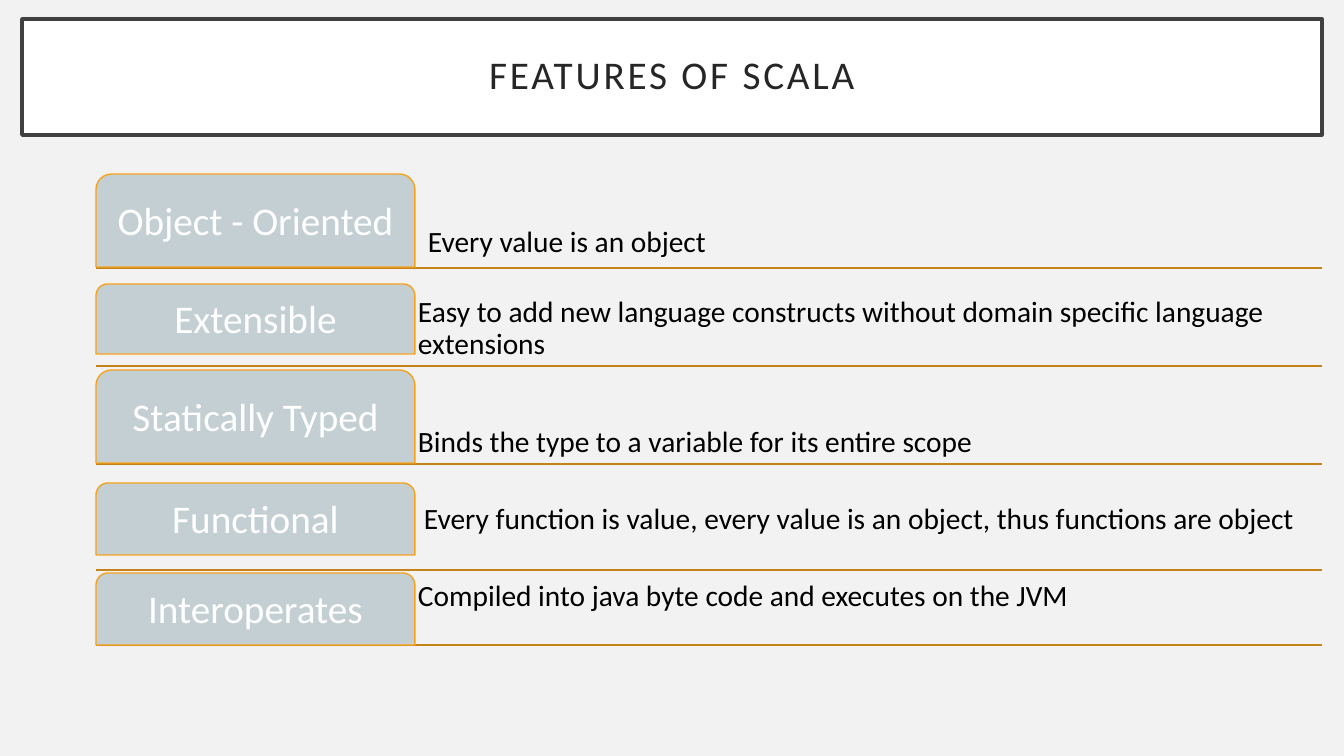
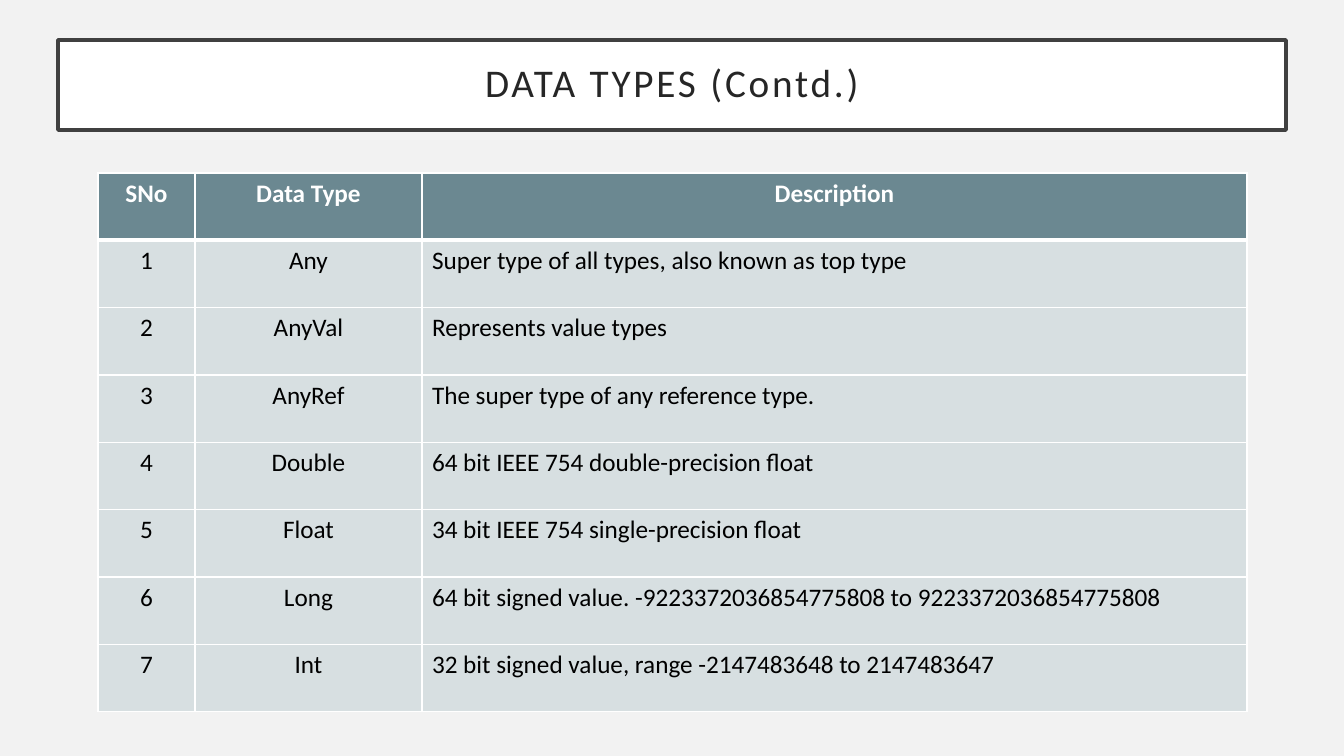
from lxml import etree
from pptx import Presentation
from pptx.dml.color import RGBColor
from pptx.enum.shapes import MSO_CONNECTOR, MSO_SHAPE
from pptx.enum.text import MSO_ANCHOR, MSO_AUTO_SIZE, PP_ALIGN
from pptx.oxml.ns import qn
from pptx.util import Emu, Pt

TAB_SHAPE = MSO_SHAPE.ROUND_2_SAME_RECTANGLE
STRAIGHT = MSO_CONNECTOR.STRAIGHT
TOP, MIDDLE, BOTTOM = MSO_ANCHOR.TOP, MSO_ANCHOR.MIDDLE, MSO_ANCHOR.BOTTOM
LEFT, CENTER = PP_ALIGN.LEFT, PP_ALIGN.CENTER
NO_AUTOFIT = MSO_AUTO_SIZE.NONE

EMU_PER_PX = 914400 / 100.8
FONT = "Calibri"
TITLE_ONLY = 5
COLORS = {
    "page": "F2F2F2",
    "white": "FFFFFF",
    "black": "000000",
    "title_text": "262626",
    "title_line": "404040",
    "tab": "C3CFD3",
    "tab_line": "F6A21D",
    "rule": "C58217",
    "header": "6B8891",
    "row": "D7DFE1",
}

TAB_LEFT, TAB_WIDTH = 96, 319
NOTE_LEFT, NOTE_WIDTH = 414, 907
RULE_RIGHT = 1322

# Each feature: name, tab (top, height), note, note (top, height), note insets (left, bottom), rule
FEATURES = [
    ("Object - Oriented", (174, 93), "Every value is an object", (174, 93), (14, 8), 268),
    ("Extensible", (284, 70),
     "Easy to add new language constructs without domain specific language extensions",
     (272, 93), (4, 4), 366),
    ("Statically Typed", (370, 93), "Binds the type to a variable for its entire scope",
     (370, 93), (4, 4), 464),
    ("Functional", (483, 72),
     "Every function is value, every value is an object, thus functions are object",
     (468, 72), (10, 4), 570),
    ("Interoperates", (573, 72), "Compiled into java byte code and executes on the JVM",
     (545, 72), (4, 4), 645),
]

COLUMN_WIDTHS = [97, 227, 825]
TABLE_HEIGHT = 539
HEADINGS = ("SNo", "Data Type", "Description")
DATA_TYPES = [
    ("Any", "Super type of all types, also known as top type"),
    ("AnyVal", "Represents value types"),
    ("AnyRef", "The super type of any reference type."),
    ("Double", "64 bit IEEE 754 double-precision float"),
    ("Float", "34 bit IEEE 754 single-precision float"),
    ("Long", "64 bit signed value. -9223372036854775808 to 9223372036854775808"),
    ("Int", "32 bit signed value, range -2147483648 to 2147483647"),
]


def px(*lengths):
    """Turn pixel lengths into a list of EMU lengths."""
    return [Emu(round(length * EMU_PER_PX)) for length in lengths]


def color(name):
    """Return the named colour of the deck."""
    return RGBColor.from_string(COLORS[name])


def write_text(frame, text, *, size, ink, align=LEFT, bold=False, spacing=None, tracking=None):
    """Write one formatted paragraph into a text frame."""
    para = frame.paragraphs[0]
    para.alignment = align
    if spacing:
        para.line_spacing = spacing
    span = para.add_run()
    span.text = text
    span.font.name = FONT
    span.font.size = Pt(size)
    span.font.bold = bold
    span.font.color.rgb = color(ink)
    if tracking:
        span._r.get_or_add_rPr().set("spc", str(tracking * 100))


def set_frame(frame, anchor, insets):
    """Set wrapping, anchor and the left, top, right and bottom insets."""
    frame.word_wrap = True
    frame.auto_size = NO_AUTOFIT
    frame.vertical_anchor = anchor
    (frame.margin_left, frame.margin_top,
     frame.margin_right, frame.margin_bottom) = px(*insets)


def paint(shape, fill, line, width):
    """Give a shape a solid fill and outline."""
    shape.fill.solid()
    shape.fill.fore_color.rgb = color(fill)
    shape.line.color.rgb = color(line)
    shape.line.width = Pt(width)


def add_page(deck, title, left, top, width, height):
    """Add a slide with its framed title."""
    page = deck.slides.add_slide(deck.slide_layouts[TITLE_ONLY])
    box = page.shapes.title
    box.left, box.top, box.width, box.height = px(left, top, width, height)
    paint(box, "white", "title_line", 2.5)
    set_frame(box.text_frame, MIDDLE, (20, 20, 20, 20))
    write_text(box.text_frame, title, size=28, ink="title_text", align=CENTER,
               spacing=0.9, tracking=2)
    return page


def add_rule(page, y):
    """Draw a horizontal rule under a feature."""
    rule = page.shapes.add_connector(STRAIGHT, *px(TAB_LEFT, y, RULE_RIGHT, y))
    rule.line.color.rgb = color("rule")
    rule.line.width = Pt(1)
    etree.SubElement(rule._element.spPr, qn("a:effectLst"))


def add_tab(page, name, top, height):
    """Add the rounded tab that names a feature."""
    tab = page.shapes.add_shape(TAB_SHAPE, *px(TAB_LEFT, top, TAB_WIDTH, height))
    tab.shadow.inherit = False
    paint(tab, "tab", "tab_line", 1)
    set_frame(tab.text_frame, MIDDLE, (6, 6, 6, 6))
    write_text(tab.text_frame, name, size=28, ink="white", align=CENTER, spacing=0.9)


def add_note(page, text, top, height, left_inset, bottom_inset):
    """Add the explanation beside a tab."""
    box = page.shapes.add_textbox(*px(NOTE_LEFT, top, NOTE_WIDTH, height))
    set_frame(box.text_frame, BOTTOM, (left_inset, 4, 4, bottom_inset))
    write_text(box.text_frame, text, size=21, ink="black", spacing=0.9)


def set_borders(cell, top, bottom):
    """Give a cell white borders, with its top and bottom widths in points."""
    properties = cell._tc.get_or_add_tcPr()
    widths = {"lnL": 1, "lnR": 1, "lnT": top, "lnB": bottom}
    for position, (side, width) in enumerate(widths.items()):
        border = etree.Element(qn(f"a:{side}"), w=str(Pt(width)))
        fill = etree.SubElement(border, qn("a:solidFill"))
        etree.SubElement(fill, qn("a:srgbClr"), val=COLORS["white"])
        properties.insert(position, border)


def add_type_table(page, left, top):
    """Add the numbered table of data types."""
    rows = [HEADINGS] + [(str(number), *entry) for number, entry in enumerate(DATA_TYPES, 1)]
    frame = page.shapes.add_table(len(rows), len(COLUMN_WIDTHS),
                                  *px(left, top, sum(COLUMN_WIDTHS), TABLE_HEIGHT))
    table = frame.table
    for column, width in zip(table.columns, px(*COLUMN_WIDTHS)):
        column.width = width
    for row_index, row in enumerate(rows):
        header = row_index == 0
        for column_index, text in enumerate(row):
            cell = table.cell(row_index, column_index)
            cell.vertical_anchor = TOP
            cell.fill.solid()
            cell.fill.fore_color.rgb = color("header" if header else "row")
            set_borders(cell, top=3 if row_index == 1 else 1, bottom=3 if header else 1)
            write_text(cell.text_frame, text, size=18, bold=header,
                       ink="white" if header else "black",
                       align=CENTER if header or column_index < 2 else LEFT)


def main():
    """Build and save the deck."""
    deck = Presentation()
    deck.slide_width, deck.slide_height = px(1344, 756)
    background = deck.slide_master.background.fill
    background.solid()
    background.fore_color.rgb = color("page")

    features_page = add_page(deck, "FEATURES OF SCALA", 22, 19, 1300, 116)
    for name, tab_span, note, note_span, insets, rule_y in FEATURES:
        add_rule(features_page, rule_y)
        add_note(features_page, note, *note_span, *insets)
        add_tab(features_page, name, *tab_span)

    types_page = add_page(deck, "DATA TYPES (Contd.)", 58, 40, 1228, 90)
    add_type_table(types_page, 98, 173)
    deck.save("out.pptx")


if __name__ == "__main__":
    main()
